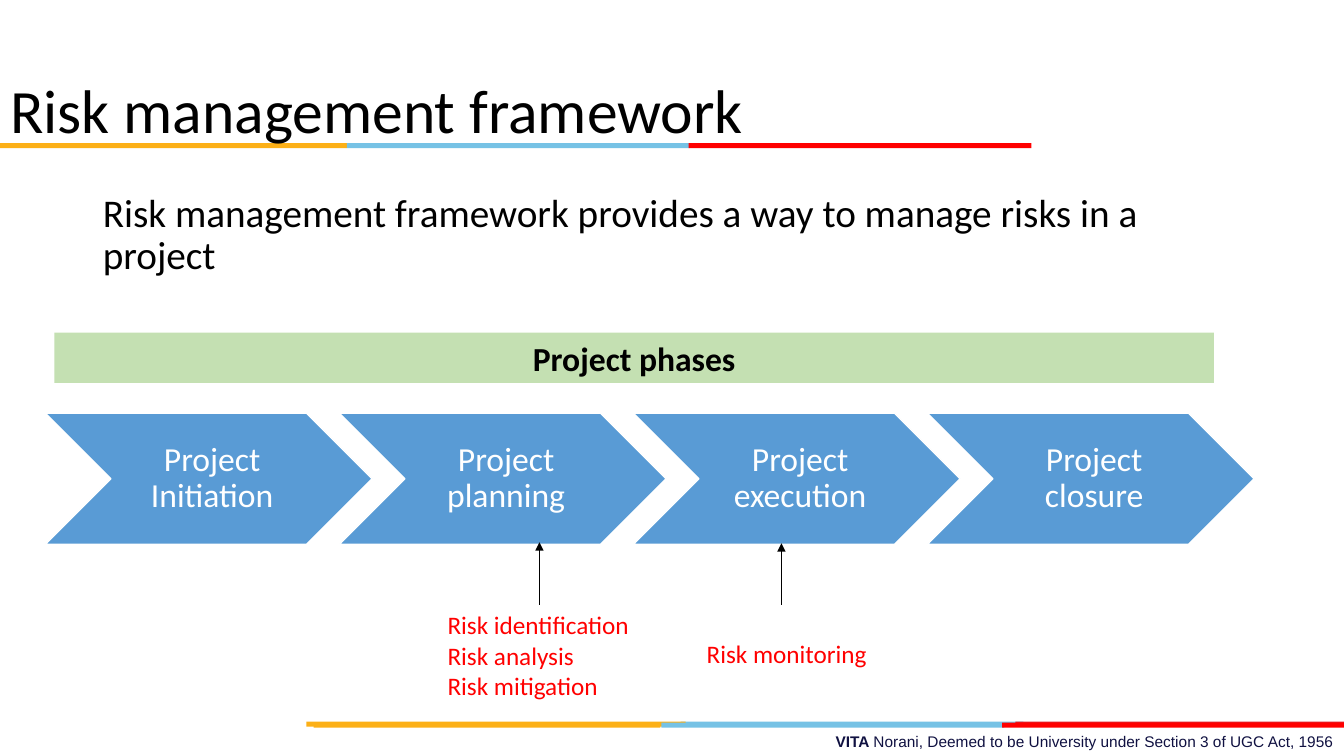
from lxml.etree import SubElement
from pptx import Presentation
from pptx.dml.color import RGBColor
from pptx.enum.shapes import MSO_CONNECTOR, MSO_SHAPE
from pptx.enum.text import MSO_ANCHOR, MSO_AUTO_SIZE, PP_ALIGN
from pptx.oxml.ns import qn
from pptx.util import Inches, Pt

TITLE = "Risk management framework"
BODY = "Risk management framework provides a way to manage risks in a project"
BANNER = "Project phases"
PHASES = ["Project Initiation", "Project planning", "Project execution", "Project closure"]
FOOTER = [("VITA ", True),
          ("Norani, Deemed to be University under Section 3 of UGC Act, 1956", False)]
# box, lines of text
NOTES = [
    ((4.34, 6, 2.02, 1.01), ["Risk identification", "Risk analysis", "Risk mitigation"]),
    ((6.91, 6.28, 1.81, 0.4), ["Risk monitoring"]),
]
# x, start y, end y
ARROWS = [(5.35, 6, 5.38), (7.75, 6, 5.39)]

AMBER, SKY, RED = "FCB017", "76C2E5", "FF0000"
# top, [(left, width, colour)]
STRIPES = [
    (7.16, [(6.75, 3.4, SKY), (10.07, 3.26, "E31C24"), (3.04, 3.76, AMBER)]),
    (7.17, [(3.11, 3.44, AMBER), (6.56, 3.4, SKY), (9.94, 3.39, RED)]),
    (1.42, [(0, 3.44, AMBER), (3.44, 3.4, SKY), (6.83, 3.4, RED)]),
]
STRIPE_H = 0.05
CHEVRON_LEFT, CHEVRON_TOP, CHEVRON_W, CHEVRON_H = 0.45, 4.1, 3.24, 1.3
CHEVRON_STEP = 0.9 * CHEVRON_W


def rgb(value):
    return RGBColor.from_string(value)


def box(*lengths):
    return [Inches(v) for v in lengths]


def place(sp, *lengths):
    sp.left, sp.top, sp.width, sp.height = box(*lengths)


def add_block(s, kind, lengths, fill, line=None):
    sp = s.shapes.add_shape(kind, *box(*lengths))
    sp.shadow.inherit = False
    sp.fill.solid()
    sp.fill.fore_color.rgb = rgb(fill)
    if line:
        sp.line.color.rgb = rgb(line)
        sp.line.width = Pt(1)
    else:
        sp.line.fill.background()
    return sp


def write(sp, lines, size, color, font="Calibri", anchor=MSO_ANCHOR.TOP, **paragraph_format):
    """Fill a shape; each line is a string or a list of (text, bold) runs."""
    tf = sp.text_frame
    tf.auto_size = MSO_AUTO_SIZE.NONE
    tf.word_wrap = True
    tf.vertical_anchor = anchor
    for i, line in enumerate(lines):
        p = tf.add_paragraph() if i else tf.paragraphs[0]
        for name, value in paragraph_format.items():
            setattr(p, name, value)
        for text, bold in [(line, False)] if isinstance(line, str) else line:
            r = p.add_run()
            r.text = text
            for name, value in {"name": font, "size": Pt(size), "bold": bold}.items():
                setattr(r.font, name, value)
            r.font.color.rgb = rgb(color)
    return tf


def add_arrow(s, x, start, end):
    line = s.shapes.add_connector(MSO_CONNECTOR.STRAIGHT, *box(x, start, x, end))
    line.line.color.rgb = rgb("000000")
    line.line.width = Pt(0.75)
    spPr = line._element.spPr
    SubElement(spPr.find(qn("a:ln")), qn("a:tailEnd"), type="triangle")
    SubElement(spPr, qn("a:effectLst"))


def main():
    prs = Presentation()
    prs.slide_width, prs.slide_height = box(13.33, 7.5)
    s = prs.slides.add_slide(prs.slide_layouts[1])
    title, body = s.placeholders

    footer = s.shapes.add_textbox(*box(4.77, 7.21, 8.56, 0.29))
    write(footer, [FOOTER], 11, "101141", font="Arial", alignment=PP_ALIGN.RIGHT)

    for top, bands in STRIPES:
        for left, width, color in bands:
            add_block(s, MSO_SHAPE.RECTANGLE, (left, top, width, STRIPE_H), color)

    for i, phase in enumerate(PHASES):
        left = CHEVRON_LEFT + i * CHEVRON_STEP
        sp = add_block(s, MSO_SHAPE.CHEVRON, (left, CHEVRON_TOP, CHEVRON_W, CHEVRON_H),
                       "599BD5", "FFFFFF")
        tf = write(sp, [phase], 24, "FFFFFF", anchor=MSO_ANCHOR.MIDDLE,
                   alignment=PP_ALIGN.CENTER, line_spacing=0.9, space_after=Pt(8.4))
        for side in ("right", "top", "bottom"):
            setattr(tf, f"margin_{side}", Inches(0.03))

    place(title, 0, 0.4, 11.5, 1.45)
    write(title, [TITLE], 44, "000000", anchor=MSO_ANCHOR.MIDDLE,
          alignment=PP_ALIGN.LEFT, line_spacing=0.9)
    s.shapes._spTree.append(title._element)  # title stands in front of the stripes

    for lengths, lines in NOTES:
        write(s.shapes.add_textbox(*box(*lengths)), lines, 18, RED)
    for arrow in ARROWS:
        add_arrow(s, *arrow)

    banner = add_block(s, MSO_SHAPE.RECTANGLE, (0.54, 3.3, 11.5, 0.5), "C4E0B2")
    write(banner, [[(BANNER, True)]], 24, "000000", alignment=PP_ALIGN.CENTER)

    place(body, 0.92, 1.87, 11.5, 1)
    tf = write(body, [BODY], 28, "000000", line_spacing=0.9, space_before=Pt(0))
    pPr = tf.paragraphs[0]._p.get_or_add_pPr()
    pPr.set("marL", "0")
    pPr.set("indent", "0")
    SubElement(pPr, qn("a:buNone"))

    prs.save("out.pptx")


if __name__ == "__main__":
    main()
